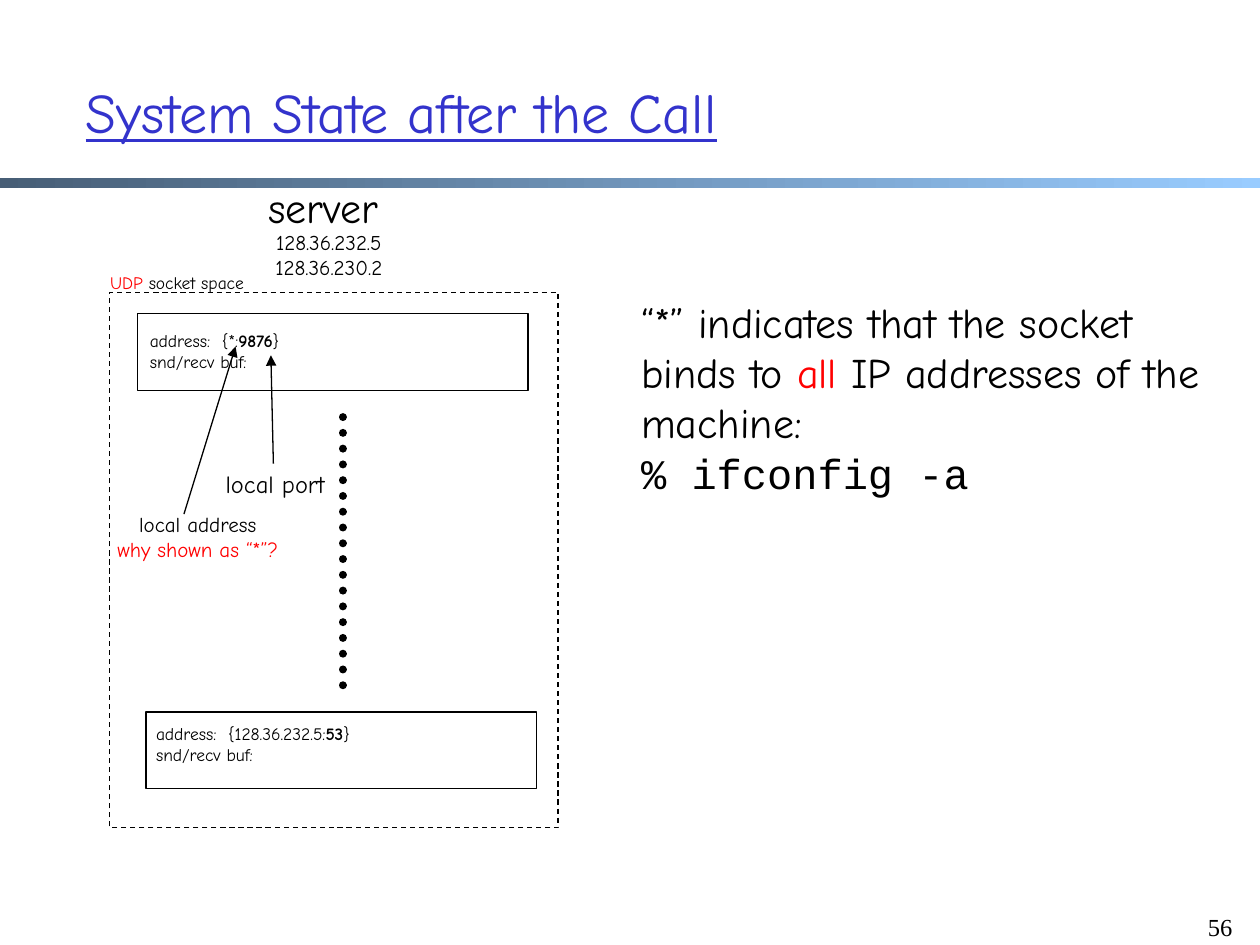
from lxml.etree import SubElement
from pptx import Presentation
from pptx.dml.color import RGBColor
from pptx.enum.dml import MSO_LINE as Dash
from pptx.enum.shapes import MSO_CONNECTOR as Connector, MSO_SHAPE as Shape
from pptx.enum.text import MSO_ANCHOR as Anchor, MSO_AUTO_SIZE as AutoSize, PP_ALIGN as Align
from pptx.oxml.ns import qn
from pptx.util import Inches, Pt

BLACK = RGBColor(0x00, 0x00, 0x00)
RED = RGBColor(0xFF, 0x00, 0x00)
TITLE_BLUE = RGBColor(0x33, 0x33, 0xCC)
BAR_DARK = RGBColor(0x47, 0x5E, 0x76)
BAR_LIGHT = RGBColor(0x99, 0xCC, 0xFF)

COLUMNS, ROWS = 100, 75
SOCKET_WIDTH, SOCKET_HEIGHT = 31, 6.1


class SocketSlide:
    """Style and current slide; places are in grid columns and rows."""

    font = "Comic Neue"
    code_font = "Courier New"
    number_font = "Times New Roman"
    thin = Pt(0.75)

    def __init__(self, deck):
        self.column = deck.slide_width / COLUMNS
        self.row = deck.slide_height / ROWS
        self.slide = deck.slides.add_slide(deck.slide_layouts[5])
        self.shapes = self.slide.shapes

    def grid(self, *places):
        """Turn alternating columns and rows into lengths."""
        return [round(place * (self.row if i % 2 else self.column))
                for i, place in enumerate(places)]

    def style(self, paragraph, size, color=BLACK, font=None):
        paragraph.font.name = font or self.font
        paragraph.font.size = Pt(size)
        paragraph.font.color.rgb = color

    def title(self, wording, place):
        title = self.shapes.title
        title.left, title.top, title.width, title.height = self.grid(*place)
        frame = title.text_frame
        frame.text = wording
        frame.auto_size = AutoSize.NONE
        frame.vertical_anchor = Anchor.MIDDLE
        heading = frame.paragraphs[0]
        heading.alignment = Align.LEFT
        self.style(heading, 32, TITLE_BLUE)
        heading.font.underline = True

    def bar(self, place):
        bar = self.shapes.add_shape(Shape.RECTANGLE, *self.grid(*place))
        bar.shadow.inherit = False
        bar.line.fill.background()
        bar.fill.gradient()
        bar.fill.gradient_angle = 0
        for stop, color in zip(bar.fill.gradient_stops, (BAR_DARK, BAR_LIGHT)):
            stop.color.rgb = color
        for position, stop in enumerate(bar.fill.gradient_stops):
            stop.position = position

    def outline(self, place, dash=None):
        box = self.shapes.add_shape(Shape.RECTANGLE, *self.grid(*place))
        box.shadow.inherit = False
        box.fill.background()
        box.line.color.rgb = BLACK
        box.line.width = self.thin
        box.line.dash_style = dash

    def text(self, place, size, *paragraphs, align=Align.CENTER, wrap=False,
             anchor=Anchor.TOP, font=None):
        """Each paragraph is a list of (wording, font settings); a newline breaks the line."""
        frame = self.shapes.add_textbox(*self.grid(*place)).text_frame
        frame.word_wrap = wrap
        frame.auto_size = AutoSize.SHAPE_TO_FIT_TEXT
        frame.vertical_anchor = anchor
        for i, parts in enumerate(paragraphs):
            paragraph = frame.add_paragraph() if i else frame.paragraphs[0]
            paragraph.alignment = align
            self.style(paragraph, size, font=font)
            for wording, settings in parts:
                for j, line in enumerate(wording.split("\n")):
                    if j:
                        paragraph.add_line_break()
                    if line:
                        self.run(paragraph, line, **settings)

    def run(self, paragraph, wording, color=None, bold=None, font=None):
        run = paragraph.add_run()
        run.text = wording
        run.font.bold = bold
        if font:
            run.font.name = font
        if color is not None:
            run.font.color.rgb = color

    def socket(self, left, top, text_place, address, port):
        self.outline((left, top, SOCKET_WIDTH, SOCKET_HEIGHT))
        self.text(text_place, 10,
                  [(f"address:  {{{address}:", {}), (port, {"bold": True}), ("}", {})],
                  [("snd/recv buf:", {})], align=Align.LEFT)

    def line(self, start, end, width):
        line = self.shapes.add_connector(Connector.STRAIGHT, *self.grid(*start, *end))
        line.line.color.rgb = BLACK
        line.line.width = width
        SubElement(line._element.spPr, qn("a:effectLst"))
        return line.line

    def arrow(self, start, end):
        stroke = self.line(start, end, self.thin)
        SubElement(stroke._get_or_add_ln(), qn("a:tailEnd"), type="triangle")

    def dots(self, start, end):
        stroke = self.line(start, end, Pt(4.5))
        stroke.dash_style = Dash.ROUND_DOT
        stroke._get_or_add_ln().set("cap", "rnd")


def main():
    deck = Presentation()
    deck.slide_width, deck.slide_height = Inches(10), Inches(7.5)
    page = SocketSlide(deck)

    page.bar((0, 14.1, 100, 0.8))
    page.title("System State after the Call", (5.8, 2.6, 90.4, 12.5))
    page.text((93.8, 71.9, 5, 5), 14, [("56", {})],
              align=Align.RIGHT, wrap=True, font=page.number_font)

    page.text((19.6, 13.9, 12.1, 5), 24, [("server", {})], anchor=Anchor.MIDDLE)
    page.text((20, 17.7, 12.2, 5), 12, [("128.36.232.5\n128.36.230.2", {})])

    page.outline((8.7, 23.2, 35.6, 42.5), Dash.DASH)
    page.text((7.3, 21.1, 13.5, 2.7), 10,
              [("UDP", {"color": RED}), (" socket space", {})])
    page.socket(10.9, 24.9, (10.9, 25.7, 13.9, 4.3), "*", "9876")
    page.dots((27.2, 33.1), (27.2, 54.4))
    page.socket(11.6, 56.5, (11.4, 56.9, 20, 4.3), "128.36.232.5", "53")

    page.arrow((14.6, 40.8), (18.7, 27.5))
    page.text((7.7, 40.1, 16, 5.1), 12,
              [("local address\n", {}), ("why shown as “*”?", {"color": RED})])
    page.arrow((21.7, 36.8), (21.5, 28.2))
    page.text((16.5, 36.7, 10.7, 3.4), 14, [("local port", {})])

    page.text((49.9, 23, 48.6, 17.2), 24,
              [("“*” indicates that the socket binds to ", {}),
               ("all", {"color": RED}),
               (" IP addresses of the machine:\n", {}),
               ("% ifconfig -a", {"font": page.code_font})],
              align=Align.LEFT, wrap=True)

    deck.save("out.pptx")


if __name__ == "__main__":
    main()
